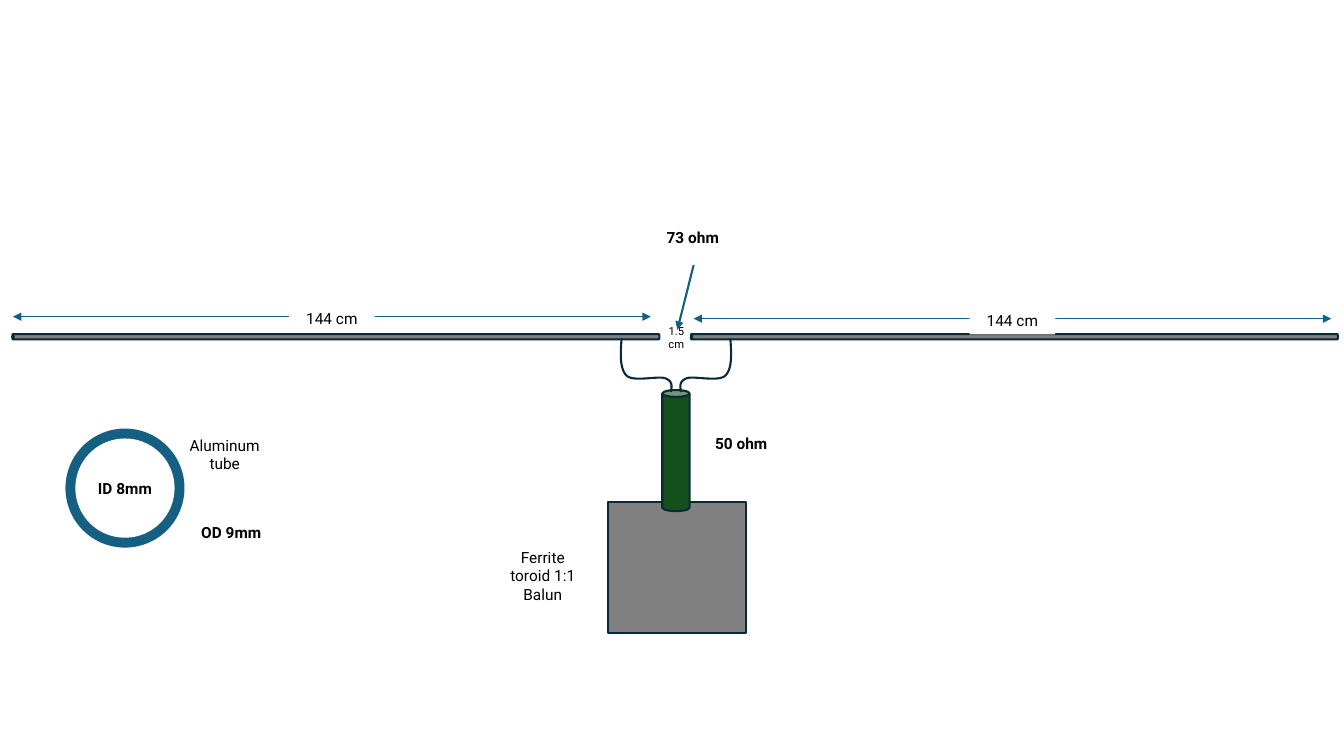
from dataclasses import dataclass

from lxml.etree import SubElement
from pptx import Presentation
from pptx.dml.color import RGBColor
from pptx.enum.shapes import MSO_CONNECTOR, MSO_SHAPE
from pptx.enum.text import MSO_ANCHOR, PP_ALIGN
from pptx.oxml.ns import qn
from pptx.util import Cm, Pt


@dataclass(frozen=True)
class Theme:
    font: str = "Roboto"
    label_size: float = 11
    small_size: float = 8
    thin: float = 0.5
    thick: float = 1.5
    text: str = "000000"
    paper: str = "FFFFFF"
    blue: str = "156082"
    outline: str = "092A39"
    metal: str = "808080"
    coax: str = "13501B"


@dataclass(frozen=True)
class Box:
    """A region of the slide, in centimetres."""
    left: float
    top: float
    width: float
    height: float

    @property
    def center(self):
        return self.left + self.width / 2

    @property
    def middle(self):
        return self.top + self.height / 2

    def emu(self):
        return Cm(self.left), Cm(self.top), Cm(self.width), Cm(self.height)


THEME = Theme()
LABEL_WIDTH, LABEL_HEIGHT = 2.16, 0.73

# Wire from the coax top to the rod: cubic curve points, as distance
# from the coax axis and height relative to the coax top
WIRE_START = (0.13, 0.05)
WIRE_CURVES = [
    [(0.10, -0.10), (0.08, -0.23), (0.28, -0.30)],
    [(0.46, -0.36), (1.07, -0.20), (1.24, -0.36)],
    [(1.42, -0.53), (1.40, -0.91), (1.37, -1.30)],
]
CURVE_STEPS = 12


def color(code):
    return RGBColor.from_string(code)


def set_line(line, code, width):
    line.color.rgb = color(code)
    line.width = Pt(width)


def add_part(shapes, kind, box, fill, outlined=True):
    shape = shapes.add_shape(kind, *box.emu())
    shape.shadow.inherit = False
    shape.fill.solid()
    shape.fill.fore_color.rgb = color(fill)
    if outlined:
        set_line(shape.line, THEME.outline, THEME.thick)
    else:
        shape.line.fill.background()
    return shape


def write(shape, text, size=THEME.label_size, bold=False):
    frame = shape.text_frame
    frame.word_wrap = True
    frame.vertical_anchor = MSO_ANCHOR.MIDDLE
    paragraph = frame.paragraphs[0]
    paragraph.text = text
    paragraph.alignment = PP_ALIGN.CENTER
    font = paragraph.font
    font.name, font.size, font.bold = THEME.font, Pt(size), bold
    font.color.rgb = color(THEME.text)


def add_label(shapes, text, left, top, height=LABEL_HEIGHT, bold=False):
    box = Box(left, top, LABEL_WIDTH, height)
    write(add_part(shapes, MSO_SHAPE.RECTANGLE, box, THEME.paper, False), text, bold=bold)


def add_text(shapes, text, box, size=THEME.label_size):
    write(shapes.add_textbox(*box.emu()), text, size)


def add_arrow(shapes, start, end, width, ends):
    connector = shapes.add_connector(
        MSO_CONNECTOR.STRAIGHT, *(Cm(value) for value in start + end))
    set_line(connector.line, THEME.blue, width)
    line = connector.line._get_or_add_ln()
    for end_name in ends:
        SubElement(line, qn(f"a:{end_name}"), type="triangle")
    SubElement(connector._element.spPr, qn("a:effectLst"))


def curve_points(start, curves):
    """Yield points along a chain of cubic curves."""
    for first, second, end in curves:
        for step in range(1, CURVE_STEPS + 1):
            t = step / CURVE_STEPS
            weights = ((1 - t) ** 3, 3 * t * (1 - t) ** 2, 3 * t * t * (1 - t), t ** 3)
            chain = (start, first, second, end)
            yield tuple(sum(weight * point[axis] for weight, point in zip(weights, chain))
                        for axis in (0, 1))
        start = end


def add_wire(shapes, axis, top, side):
    def place(point):
        return Cm(axis + side * point[0]), Cm(top + point[1])

    builder = shapes.build_freeform(*place(WIRE_START))
    builder.add_line_segments(
        [place(point) for point in curve_points(WIRE_START, WIRE_CURVES)], close=False)
    wire = builder.convert_to_shape()
    wire.shadow.inherit = False
    wire.fill.background()
    set_line(wire.line, THEME.outline, THEME.thick)


def draw_feed_gap(shapes, box):
    # Arrow from the impedance label into the gap between the rods
    add_arrow(shapes, (box.left + 1.1, box.top + 1.07), (box.left + 0.69, box.top + 2.7),
              THEME.thick, ["tailEnd"])
    add_text(shapes, "1.5 cm", Box(box.left + 0.13, box.top + 2.42, 1.07, 0.94),
             THEME.small_size)
    add_label(shapes, "73 ohm", box.left, box.top, bold=True)


def draw_rod(shapes, box):
    # The can stands upright, so it is turned about the centre of its box
    upright = Box(box.center - box.height / 2, box.middle - box.width / 2,
                  box.height, box.width)
    add_part(shapes, MSO_SHAPE.CAN, upright, THEME.metal).rotation = 270


def draw_dimension(shapes, box, text):
    # Double arrow with its label in the middle
    group = shapes.add_group_shape().shapes
    add_arrow(group, (box.left, box.top), (box.left + box.width, box.top),
              THEME.thin, ["headEnd", "tailEnd"])
    add_label(group, text, box.center - LABEL_WIDTH / 2, box.top - 0.33)


def draw_balun(shapes, box):
    # Ferrite block at the foot of the box
    block = Box(box.left, box.top + 2.82, box.width, box.height - 2.82)
    add_part(shapes, MSO_SHAPE.RECTANGLE, block, THEME.metal)
    # Coax and the two wires to the rods
    group = shapes.add_group_shape().shapes
    coax = Box(box.left + 1.37, box.top, 0.69, 3.05)
    add_part(group, MSO_SHAPE.CAN, coax, THEME.coax)
    for side in (-1, 1):
        add_wire(group, coax.center, coax.top, side)
    # Labels
    add_label(shapes, "Ferrite toroid 1:1 Balun", block.left - 2.72, block.top + 1.02, 1.68)
    add_label(shapes, "50 ohm", coax.left + 0.91, coax.top + 0.97, bold=True)


def draw_tube_section(shapes, box, wall=0.25):
    # Ring made of two discs
    group = shapes.add_group_shape().shapes
    bore = Box(box.left + wall, box.top + wall, box.width - 2 * wall, box.height - 2 * wall)
    for disc, fill in ((box, THEME.blue), (bore, THEME.paper)):
        add_part(group, MSO_SHAPE.OVAL, disc, fill, False)
    # Diameters and material
    add_label(group, "OD 9mm", box.left + 3.1, box.top + 2.26, bold=True)
    add_label(group, "ID 8mm", box.center - LABEL_WIDTH / 2,
              box.middle - LABEL_HEIGHT / 2, bold=True)
    add_text(group, "Aluminum tube", Box(box.left + 2.77, box.top + 0.05, 2.49, 1.19))


def main():
    presentation = Presentation()
    presentation.slide_width, presentation.slide_height = Cm(33.87), Cm(19.05)
    slide = presentation.slides.add_slide(presentation.slide_layouts[6])
    shapes = slide.shapes

    draw_feed_gap(shapes, Box(16.38, 5.61, LABEL_WIDTH, 3.36))
    # Two halves of the dipole
    for rod_left, arrow_left, arrow_top in ((0.31, 0.33, 7.98), (17.41, 17.48, 8.03)):
        draw_rod(shapes, Box(rod_left, 8.42, 16.31, 0.13))
        draw_dimension(shapes, Box(arrow_left, arrow_top, 16.07, 0), "144 cm")
    draw_balun(shapes, Box(15.32, 9.83, 3.48, 6.12))
    draw_tube_section(shapes, Box(1.65, 10.8, 3, 3))

    presentation.save("out.pptx")


if __name__ == "__main__":
    main()
